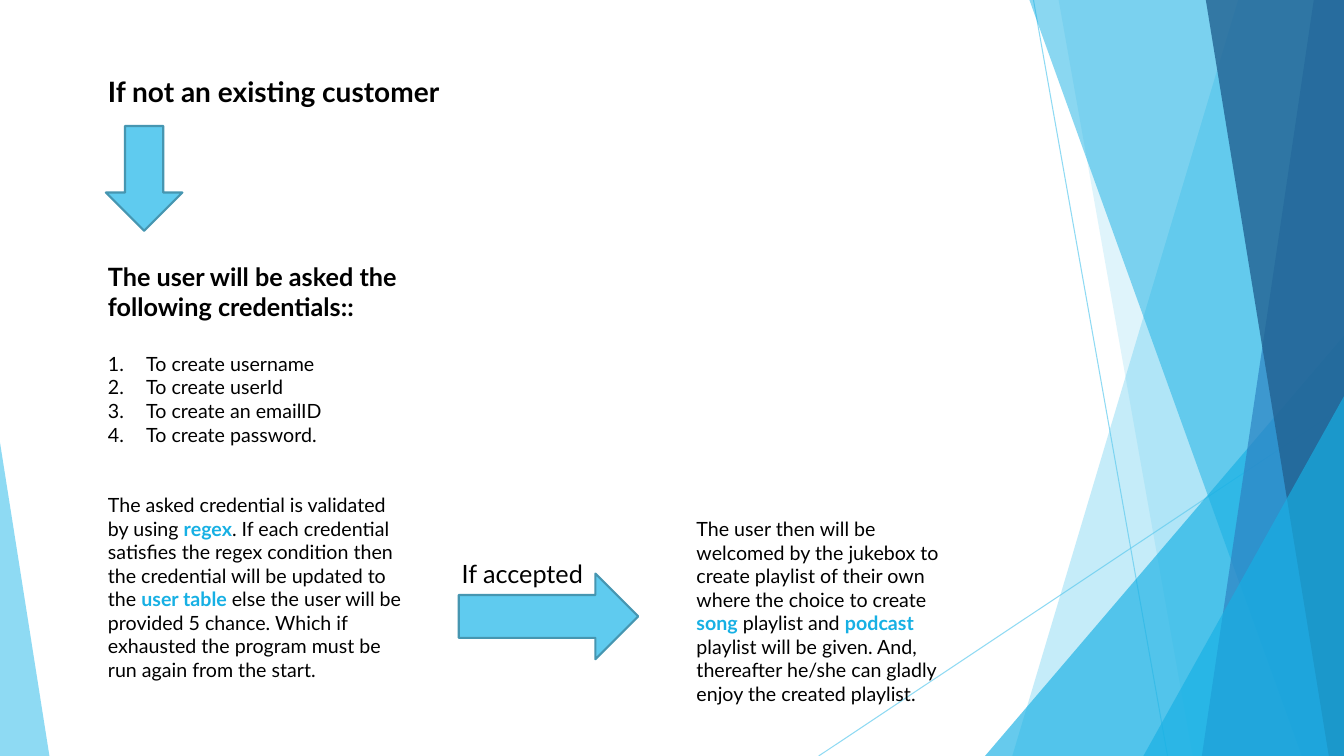
import collections

import lxml.etree
import pptx
import pptx.dml.color
import pptx.enum.shapes
import pptx.enum.text
import pptx.oxml.ns
import pptx.util

Inches = pptx.util.Inches
Pt = pptx.util.Pt
RGBColor = pptx.dml.color.RGBColor
MSO_SHAPE = pptx.enum.shapes.MSO_SHAPE
qn = pptx.oxml.ns.qn

BLACK = RGBColor(0x00, 0x00, 0x00)
SKY = RGBColor(0x5F, 0xCB, 0xEF)
CYAN = RGBColor(0x17, 0xB0, 0xE4)
BLUE = RGBColor(0x2E, 0x83, 0xC3)
NAVY = RGBColor(0x22, 0x62, 0x92)
ARROW_EDGE = RGBColor(0x46, 0x96, 0xB1)
FONT = "Lato"

Box = collections.namedtuple("Box", "left top width height")


def inside(box, left, top, width, height):
    return Box(box.left + left, box.top + top, width, height)


def place(shape, box):
    shape.left, shape.top, shape.width, shape.height = map(Inches, box)


def set_opacity(shape, percent):
    for color in shape._element.spPr.iter(qn("a:srgbClr")):
        lxml.etree.SubElement(color, qn("a:alpha"), val=str(percent * 1000))


def paint_facet(facet, color, percent):
    facet.shadow.inherit = False
    facet.fill.solid()
    facet.fill.fore_color.rgb = color
    facet.line.fill.background()
    set_opacity(facet, percent)


def add_ray(shapes, start, end):
    ray = shapes.add_connector(
        pptx.enum.shapes.MSO_CONNECTOR.STRAIGHT, *map(Inches, start + end))
    ray.line.color.rgb = SKY
    ray.line.width = Pt(0.75)
    set_opacity(ray, 70)
    lxml.etree.SubElement(ray._element.spPr, qn("a:effectLst"))


def add_panel(shapes, box, top_x, bottom_x, color, percent):
    right, bottom = box.left + box.width, box.top + box.height
    outline = shapes.build_freeform(
        Inches(box.left + top_x), Inches(box.top), scale=1.0)
    outline.add_line_segments([
        (Inches(right), Inches(box.top)),
        (Inches(right), Inches(bottom)),
        (Inches(box.left + bottom_x), Inches(bottom)),
    ], close=True)
    paint_facet(outline.convert_to_shape(), color, percent)


def add_corner(shapes, box, width, height, apex, color, percent):
    left = apex * (box.width - width)
    corner_box = inside(box, left, box.height - height, width, height)
    corner = shapes.add_shape(
        MSO_SHAPE.ISOSCELES_TRIANGLE, *map(Inches, corner_box))
    corner.adjustments[0] = apex
    paint_facet(corner, color, percent)


def add_backdrop(slide, box):
    shapes = slide.shapes.add_group_shape().shapes
    right, bottom = box.left + box.width, box.top + box.height
    add_ray(shapes, (box.left + 10.25, box.top), (box.left + 11.58, bottom))
    add_ray(shapes, (right, box.top + 4.03), (box.left + 8.12, bottom))
    add_panel(shapes, box, 12.28, 10.04, SKY, 36)
    add_panel(shapes, box, 10.5, 11.83, SKY, 20)
    add_corner(shapes, box, 3.56, 4.17, 1, CYAN, 66)
    add_panel(shapes, box, 10.21, 12.91, CYAN, 50)
    add_panel(shapes, box, 13.03, 11.92, BLUE, 70)
    add_panel(shapes, box, 11.96, 13.18, NAVY, 80)
    add_corner(shapes, box, 1.99, 3.57, 1, CYAN, 66)
    add_corner(shapes, box, 0.49, 3.11, 0, SKY, 70)


def add_arrow(slide, kind, box):
    arrow = slide.shapes.add_shape(kind, *map(Inches, box))
    arrow.shadow.inherit = False
    arrow.fill.solid()
    arrow.fill.fore_color.rgb = SKY
    arrow.line.color.rgb = ARROW_EDGE
    arrow.line.width = Pt(1.5)


def prepare_frame(frame):
    frame.word_wrap = True
    frame.auto_size = pptx.enum.text.MSO_AUTO_SIZE.NONE
    frame.vertical_anchor = pptx.enum.text.MSO_ANCHOR.TOP
    return frame


def write(paragraph, parts, size, bold=False, before=0, numbered=False):
    paragraph.alignment = pptx.enum.text.PP_ALIGN.LEFT
    paragraph.space_before = Pt(before)
    properties = paragraph._p.get_or_add_pPr()
    indent = Inches(0.38) if numbered else 0
    properties.set("marL", str(indent))
    properties.set("indent", str(-indent))
    if numbered:
        lxml.etree.SubElement(
            properties, qn("a:buAutoNum"), type="arabicPeriod")
    else:
        lxml.etree.SubElement(properties, qn("a:buNone"))
    for text, highlighted in parts:
        run = paragraph.add_run()
        run.text = text
        run.font.name = FONT
        run.font.size = Pt(size)
        run.font.bold = bold or highlighted
        run.font.color.rgb = CYAN if highlighted else BLACK


def add_text(slide, box, parts, size):
    label = slide.shapes.add_textbox(*map(Inches, box))
    write(prepare_frame(label.text_frame).paragraphs[0], parts, size)


def add_customer_start(slide, box):
    title = slide.shapes.title
    place(title, inside(box, 0, 0, box.width, 0.44))
    write(prepare_frame(title.text_frame).paragraphs[0],
          [("If not an existing customer", False)], 20, bold=True)
    add_arrow(slide, MSO_SHAPE.DOWN_ARROW, inside(box, 0.08, 0.56, 0.76, 1.04))


def add_credentials(slide, box):
    body = slide.placeholders[1]
    place(body, box)
    frame = prepare_frame(body.text_frame)
    write(frame.paragraphs[0],
          [("The user will be asked the following credentials::", False)],
          18, bold=True)
    steps = ["To create username", "To create userId",
             "To create an emailID", "To create password."]
    for index, step in enumerate(steps):
        write(frame.add_paragraph(), [(step, False)], 14,
              before=0 if index else 21.6, numbered=True)
    write(frame.add_paragraph(), [
        ("The asked credential is validated by using ", False),
        ("regex", True),
        (". If each credential satisfies the regex condition then the "
         "credential will be updated to the ", False),
        ("user table ", True),
        ("else the user will be provided 5 chance. Which if exhausted the "
         "program must be run again from the start.", False),
    ], 14, before=33.6)


def add_acceptance(slide, box):
    add_arrow(slide, MSO_SHAPE.RIGHT_ARROW, inside(box, 0.07, 0.2, 1.78, 0.85))
    add_text(slide, inside(box, 0, 0, 1.64, 0.4), [("If accepted", False)], 18)


def add_welcome(slide, box):
    add_text(slide, box, [
        ("The user then will be welcomed by the jukebox to create playlist "
         "of their own where the choice to create ", False),
        ("song", True),
        (" playlist and ", False),
        ("podcast", True),
        (" playlist will be given. And, thereafter he/she can gladly enjoy "
         "the created playlist.", False),
    ], 14)


def main():
    deck = pptx.Presentation()
    deck.slide_width, deck.slide_height = Inches(13.33), Inches(7.5)
    slide = deck.slides.add_slide(deck.slide_layouts[1])
    add_backdrop(slide, Box(0, 0, 13.33, 7.5))
    add_customer_start(slide, Box(0.97, 0.69, 6.06, 1.6))
    add_credentials(slide, Box(0.97, 2.54, 3.19, 4.61))
    add_acceptance(slide, Box(4.48, 5.49, 1.85, 1.05))
    add_welcome(slide, Box(6.81, 5.08, 2.63, 2.22))
    deck.save("out.pptx")


if __name__ == "__main__":
    main()
